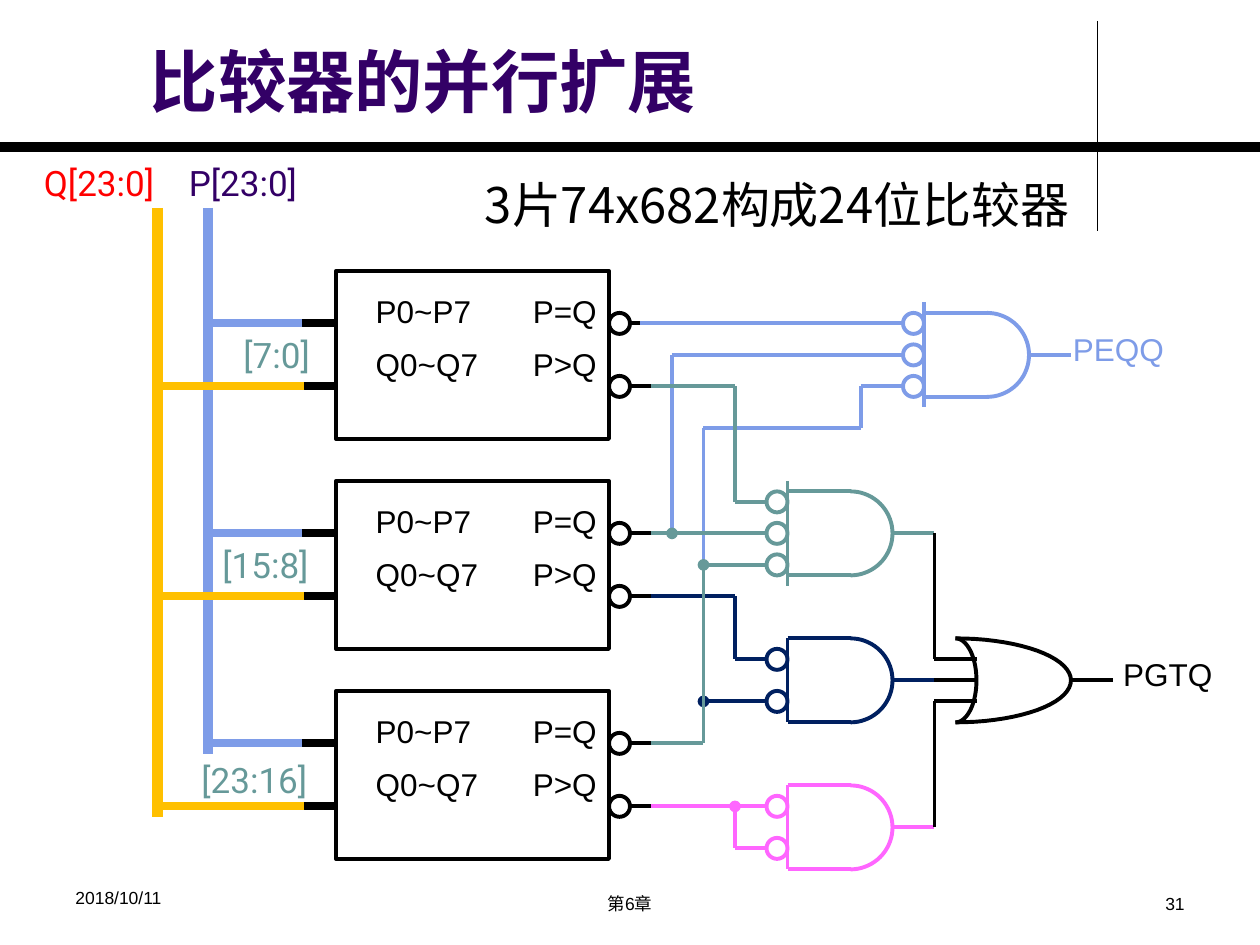
from itertools import pairwise, product
from math import cos, radians, sin

from lxml import etree
from pptx import Presentation
from pptx.dml.color import RGBColor
from pptx.enum import shapes, text
from pptx.oxml.ns import qn
from pptx.util import Inches, Pt

theme = {
    "black": "000000", "blue": "7E9CE8", "teal": "669999", "navy": "002060",
    "pink": "FF66FF", "gold": "FFC000", "red": "FF0000", "purple": "330066",
    "title": 39, "subtitle": 28, "bus": 20, "pin": 18, "footer": 10,
    "thin": 0.75, "wire": 2.25, "stub": 4.5, "trunk": 6,
    "sans": "Arial", "cjk": "Noto Sans CJK JP", "roboto": "Roboto",
}
align = {"l": text.PP_ALIGN.LEFT, "c": text.PP_ALIGN.CENTER, "r": text.PP_ALIGN.RIGHT}

deck = Presentation()
deck.slide_width, deck.slide_height = Inches(10), Inches(7.5)
slide = deck.slides.add_slide(deck.slide_layouts[6])
cell = deck.slide_width // 120


def write(words, left, top, width, height, size="pin", color="black", font="sans",
          side="l", bold=False, spacing=1, bottom=False):
    frame = slide.shapes.add_textbox(*(round(n * cell) for n in (left, top, width, height))).text_frame
    frame.word_wrap = True
    frame.vertical_anchor = text.MSO_ANCHOR.BOTTOM if bottom else text.MSO_ANCHOR.TOP
    for index, line in enumerate(words.split("\n")):
        paragraph = frame.add_paragraph() if index else frame.paragraphs[0]
        paragraph.alignment, paragraph.line_spacing = align[side], spacing
        run = paragraph.add_run()
        run.text = line
        run.font.size, run.font.bold, run.font.name = Pt(theme[size]), bold, theme[font]
        run.font.color.rgb = RGBColor.from_string(theme[color])
        etree.SubElement(run.font._element, qn("a:ea"), typeface=theme[font])


def wire(color, *points, weight="wire", dot=False):
    for index, (start, end) in enumerate(pairwise(points)):
        ends = (round(n * cell) for n in (*start, *end))
        segment = slide.shapes.add_connector(shapes.MSO_CONNECTOR.STRAIGHT, *ends)
        segment.line.color.rgb = RGBColor.from_string(theme[color])
        segment.line.width = Pt(theme[weight])
        outline = segment._element.spPr
        if dot and index == 0:
            etree.SubElement(outline.find(qn("a:ln")), qn("a:headEnd"), type="oval")
        etree.SubElement(outline, qn("a:effectLst"))


wire("black", (104.5, 2), (104.5, 22), weight="thin")
wire("black", (0, 14), (120, 14), weight="trunk")
write("比较器的并行扩展", 13.1, 2.4, 90.6, 9.7, size="title", color="purple", bold=True, bottom=True)
write("3片74x682构成24位比较器", 35, 12.8, 78, 10, size="subtitle", font="cjk", side="c", bottom=True)

chip_tops = [25.8 + 20 * n for n in range(3)]
outlines = [("RECTANGLE", "black", 32, top, 26, 16) for top in chip_tops]
for top, pin in product(chip_tops, (5, 11)):
    row = top + pin
    outlines.append(("OVAL", "black", 58, row - 1, 2, 2))
    wire("black", (60, row), (62, row))
    wire("black", (28, row), (32, row), weight="stub")
for top in chip_tops:
    write("P0~P7\nQ0~Q7", 34.6, top, 14, 12, spacing=1.4)
    write("P=Q\nP>Q", 48, top, 10, 12, side="r", spacing=1.4)

for color, column, last_row, pin, stub_end in (("blue", 19.8, 71.8, 5, 28.8), ("gold", 15, 77.8, 11, 29)):
    wire(color, (column, 19.8), (column, last_row), weight="trunk")
    for top in chip_tops:
        wire(color, (stub_end, top + pin), (column, top + pin), weight="stub")
for label, left, top, color in (("Q[23:0]", 3, 14.8, "red"), ("P[23:0]", 16.8, 14.8, "purple")):
    write(label, left, top, 14, 5.2, size="bus", color=color, font="roboto")
for label, left, top in (("[7:0]", 22, 30.8), ("[15:8]", 20, 50.8), ("[23:16]", 18, 71.2)):
    write(label, left, top, 15, 5.6, size="bus", color="teal", font="roboto", spacing=1.1)

arcs = [("black", 91, 64.8, 2), ("black", 91, 64.8, 11)]
for color, column, middle, inputs, bar in (
    ("blue", 88, 33.8, (-3, 0, 3), 5),
    ("pink", 75, 78.8, (-2, 2), 4),
    ("navy", 75, 64.8, (-2, 2), 4),
    ("teal", 75, 50.8, (-3, 0, 3), 5),
):
    wire(color, (column, middle - bar), (column, middle + bar))
    for edge in (middle - 4, middle + 4):
        wire(color, (column, edge), (column + 6, edge))
    wire(color, (column + 10, middle), (column + 14, middle))
    arcs.append((color, column + 6, middle, 4))
    outlines += [("OVAL", color, column - 2, middle + step - 1, 2, 2) for step in inputs]

drawn = []
for kind, color, *box in outlines:
    preset = getattr(shapes.MSO_SHAPE, kind)
    drawn.append((slide.shapes.add_shape(preset, *(round(n * cell) for n in box)), color))
for color, column, middle, reach in arcs:
    curve = [
        (round((column + reach * cos(radians(a))) * cell), round((middle + 4 * sin(radians(a))) * cell))
        for a in range(-90, 91, 5)
    ]
    builder = slide.shapes.build_freeform(*curve[0])
    builder.add_line_segments(curve[1:], close=False)
    drawn.append((builder.convert_to_shape(), color))
for part, color in drawn:
    part.shadow.inherit = False
    part.fill.background()
    part.line.color.rgb = RGBColor.from_string(theme[color])
    part.line.width = Pt(theme["wire"])

for color, dot, *points in (
    ("blue", False, (61, 30.8), (86, 30.8)),
    ("blue", False, (62, 50.8), (64, 50.8), (64, 33.8), (86, 33.8)),
    ("blue", False, (62, 70.8), (67, 70.8), (67, 40.8), (82, 40.8), (82, 36.8), (86, 36.8)),
    ("pink", False, (62, 76.8), (73, 76.8)),
    ("pink", True, (70, 76.8), (70, 80.8), (73, 80.8)),
    ("navy", False, (62, 56.8), (70, 56.8), (70, 62.8), (73, 62.8)),
    ("navy", True, (67, 66.8), (73, 66.8)),
    ("navy", False, (62, 70.8), (67, 70.8), (67, 66.8)),
    ("teal", False, (62, 36.8), (70, 36.8), (70, 47.8), (73, 47.8)),
    ("teal", False, (62, 70.8), (67, 70.8), (67, 53.8)),
    ("teal", True, (67, 53.8), (73, 53.8)),
    ("teal", False, (62, 50.8), (64, 50.8)),
    ("teal", True, (64, 50.8), (73, 50.8)),
    ("black", False, (89, 50.8), (89, 62.8), (93, 62.8)),
    ("black", False, (89, 78.8), (89, 66.8), (93, 66.8)),
    ("black", False, (89, 64.8), (93, 64.8)),
    ("black", False, (102, 64.8), (106, 64.8)),
):
    wire(color, *points, dot=dot)

write("PEQQ", 101, 30.8, 12, 6, color="blue")
write("PGTQ", 105.8, 61.8, 12, 6)
write("2018/10/11", 6, 83.9, 28, 4, size="footer")
write("第6章", 41, 84.5, 38, 3.5, size="footer", side="c")
write("31", 86, 84.5, 28, 3.5, size="footer", side="r")

deck.save("out.pptx")
